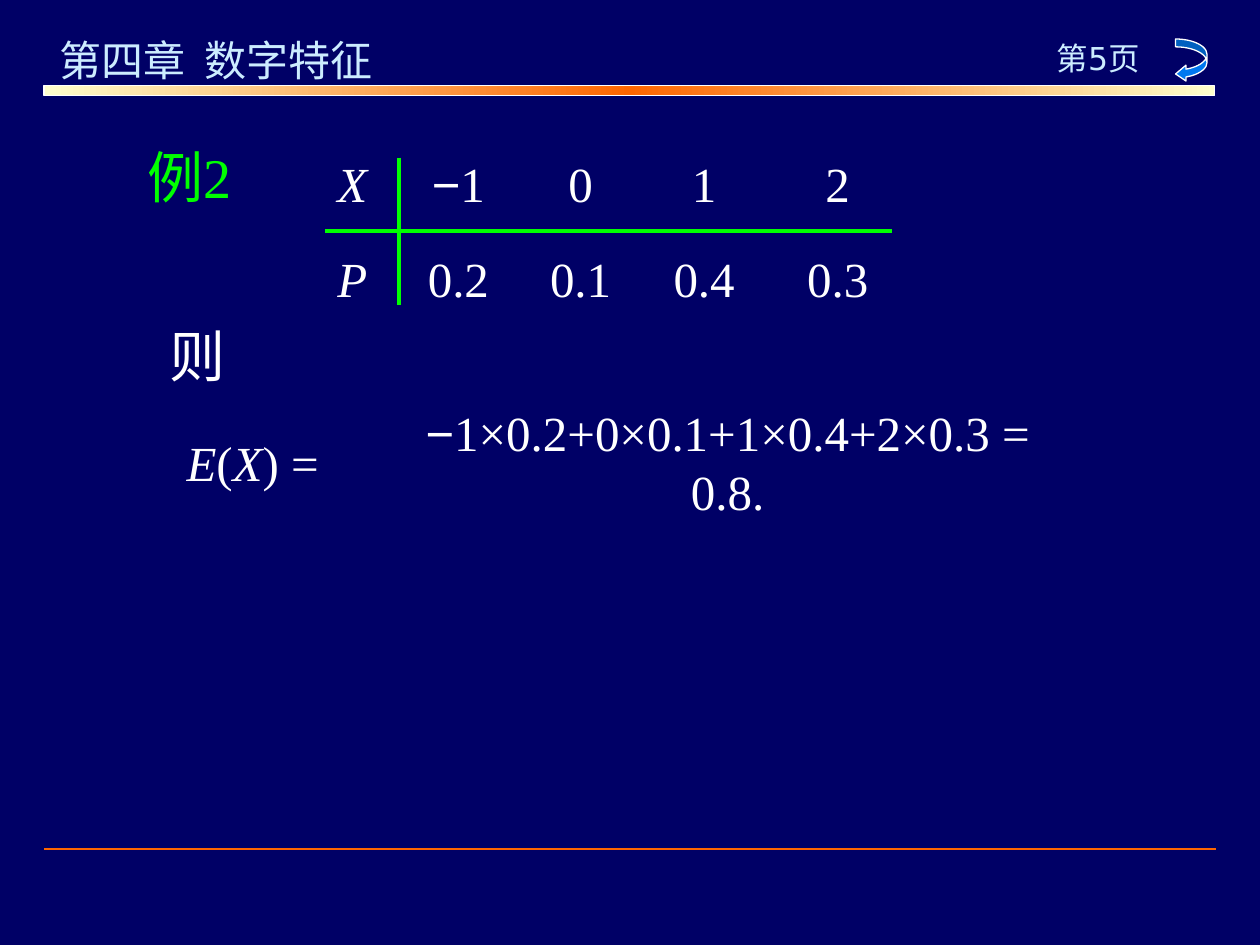
"""Build a lecture slide that works out the expectation of a discrete distribution."""
import copy
import dataclasses
import typing

import pptx
import pptx.dml.color
import pptx.enum.shapes
import pptx.enum.text
import pptx.oxml
import pptx.oxml.ns
import pptx.util

Anchor = pptx.enum.text.MSO_ANCHOR
Align = pptx.enum.text.PP_ALIGN
Shapes = pptx.enum.shapes.MSO_SHAPE
SLIDE_WIDTH, SLIDE_HEIGHT = pptx.util.Inches(10), pptx.util.Inches(7.5)
COLUMNS, ROWS = 100, 75


@dataclasses.dataclass(frozen=True)
class Theme:
    background: str = "000066"
    heading: str = "CCECFF"
    text: str = "FFFFFF"
    accent: str = "00FF00"
    rule: str = "FF6600"
    glow: str = "FFFFCC"
    arrow: str = "0078F0"
    heading_font: str = "Comic Neue"
    page_font: str = "DejaVu Sans"
    body_font: str = "Times New Roman"
    sign_font: str = "Arial"
    heading_size: float = 24
    page_size: float = 18
    label_size: float = 32
    body_size: float = 28
    outline: float = 0.75
    footer_line: float = 1
    table_line: float = 2.25


THEME = Theme()


class Area(typing.NamedTuple):
    left: float
    top: float
    width: float
    height: float


class Span(typing.NamedTuple):
    text: str
    italic: bool = False
    font: str = THEME.body_font


class TextItem(typing.NamedTuple):
    area: Area
    spans: list[Span]
    format: dict[str, typing.Any]


class Rule(typing.NamedTuple):
    start: tuple[float, float]
    end: tuple[float, float]
    color: str
    width: float


def across(columns: float) -> int:
    return round(SLIDE_WIDTH * columns / COLUMNS)


def down(rows: float) -> int:
    return round(SLIDE_HEIGHT * rows / ROWS)


def place(area: Area) -> tuple[int, int, int, int]:
    return across(area.left), down(area.top), across(area.width), down(area.height)


def rgb(color: str) -> pptx.dml.color.RGBColor:
    return pptx.dml.color.RGBColor.from_string(color)


def write_text(box, spans: list[Span], *, size: float = THEME.body_size,
               color: str = THEME.text, align=Align.CENTER, anchor=Anchor.MIDDLE,
               wrap: bool = True, side: float = 1, tabs: tuple[float, ...] = (),
               tab_align: str = "ctr") -> None:
    frame = box.text_frame
    frame.auto_size = pptx.enum.text.MSO_AUTO_SIZE.NONE
    frame.word_wrap, frame.vertical_anchor = wrap, anchor
    frame.margin_left = frame.margin_right = across(side)
    frame.margin_top = frame.margin_bottom = down(0.5)
    para = frame.paragraphs[0]
    para.alignment = align
    if tabs:
        properties = para._p.get_or_add_pPr()
        stops = pptx.oxml.parse_xml(f"<a:tabLst {pptx.oxml.ns.nsdecls('a')}/>")
        for stop in tabs:
            element = stops.makeelement(pptx.oxml.ns.qn("a:tab"),
                                        {"pos": str(across(stop)), "algn": tab_align})
            stops.append(element)
        properties.append(stops)
    for span in spans:
        run = para.add_run()
        run.text = span.text
        run.font.name, run.font.size = span.font, pptx.util.Pt(size)
        run.font.italic, run.font.bold = span.italic, False
        run.font.color.rgb = rgb(color)


def add_text(page, item: TextItem) -> None:
    write_text(page.shapes.add_textbox(*place(item.area)), item.spans, **item.format)


def add_rule(page, rule: Rule) -> None:
    line = page.shapes.add_connector(
        pptx.enum.shapes.MSO_CONNECTOR.STRAIGHT,
        across(rule.start[0]), down(rule.start[1]), across(rule.end[0]), down(rule.end[1]))
    line.line.color.rgb = rgb(rule.color)
    line.line.width = pptx.util.Pt(rule.width)
    properties = line._element.spPr
    properties.append(properties.makeelement(pptx.oxml.ns.qn("a:effectLst"), {}))


def add_outlined(page, kind, area: Area):
    shape = page.shapes.add_shape(kind, *place(area))
    shape.shadow.inherit = False
    shape.line.color.rgb = rgb(THEME.text)
    shape.line.width = pptx.util.Pt(THEME.outline)
    return shape


def add_header(page) -> None:
    title = page.shapes.title
    title.left, title.top, title.width, title.height = place(Area(3.7, 2.2, 28.6, 5))
    write_text(title, [Span("第四章\t数字特征", font=THEME.heading_font)],
               size=THEME.heading_size, color=THEME.heading, align=Align.LEFT,
               anchor=Anchor.TOP, wrap=False, tabs=(11.5,), tab_align="l")
    band = add_outlined(page, Shapes.RECTANGLE, Area(3.5, 6.8, 92.9, 0.8))
    band.fill.gradient()
    band.fill.gradient_angle = 0
    stops = band._element.spPr.find(".//" + pptx.oxml.ns.qn("a:gsLst"))
    stops.append(copy.deepcopy(stops[0]))
    colors = (THEME.glow, THEME.rule, THEME.glow)
    for index, (stop, color) in enumerate(zip(band.fill.gradient_stops, colors)):
        stop.position = index / 2
        stop.color.rgb = rgb(color)
    arrow = add_outlined(page, Shapes.CURVED_LEFT_ARROW, Area(93.3, 3.1, 2.5, 3.4))
    arrow.adjustments[2] = 0.33
    arrow.fill.solid()
    arrow.fill.fore_color.rgb = rgb(THEME.arrow)


def main() -> None:
    deck = pptx.Presentation()
    deck.slide_width, deck.slide_height = SLIDE_WIDTH, SLIDE_HEIGHT
    page = deck.slides.add_slide(deck.slide_layouts[5])
    page.background.fill.solid()
    page.background.fill.fore_color.rgb = rgb(THEME.background)
    add_header(page)

    minus = Span("−", font=THEME.sign_font)
    label = {"size": THEME.label_size, "wrap": False}
    row = {"align": Align.LEFT, "anchor": Anchor.TOP, "tabs": (9.6, 19.3, 29.1, 39.7)}
    items = [
        TextItem(Area(81, 2.6, 12.3, 7.6), [Span("第5页", font=THEME.page_font)],
                 {"size": THEME.page_size, "color": THEME.heading, "anchor": Anchor.TOP}),
        TextItem(Area(10.2, 10.8, 9.7, 6.4), [Span("例2")], label | {"color": THEME.accent}),
        TextItem(Area(12.5, 25, 6.4, 6.4), [Span("则")], label),
        TextItem(Area(13.8, 33.8, 12.5, 5.7),
                 [Span("E", True), Span("("), Span("X", True), Span(") =")], {}),
        TextItem(Area(29.4, 33.8, 56.7, 5.7),
                 [minus, Span("1×0.2+0×0.1+1×0.4+2×0.3 = 0.8.")], {"side": 3}),
        TextItem(Area(25.8, 11.7, 50, 5.7),
                 [Span("X", True), Span("\t"), minus, Span("1\t0\t1\t2")], row),
        TextItem(Area(25.8, 19.2, 50, 5.7),
                 [Span("P", True), Span("\t0.2\t0.1\t0.4\t0.3")], row),
    ]
    for item in items:
        add_text(page, item)
    rules = [
        Rule((3.5, 67.4), (96.5, 67.4), THEME.rule, THEME.footer_line),
        Rule((25.8, 18.3), (70.8, 18.3), THEME.accent, THEME.table_line),
        Rule((31.7, 12.5), (31.7, 24.2), THEME.accent, THEME.table_line),
    ]
    for rule in rules:
        add_rule(page, rule)
    deck.save("out.pptx")


if __name__ == "__main__":
    main()
